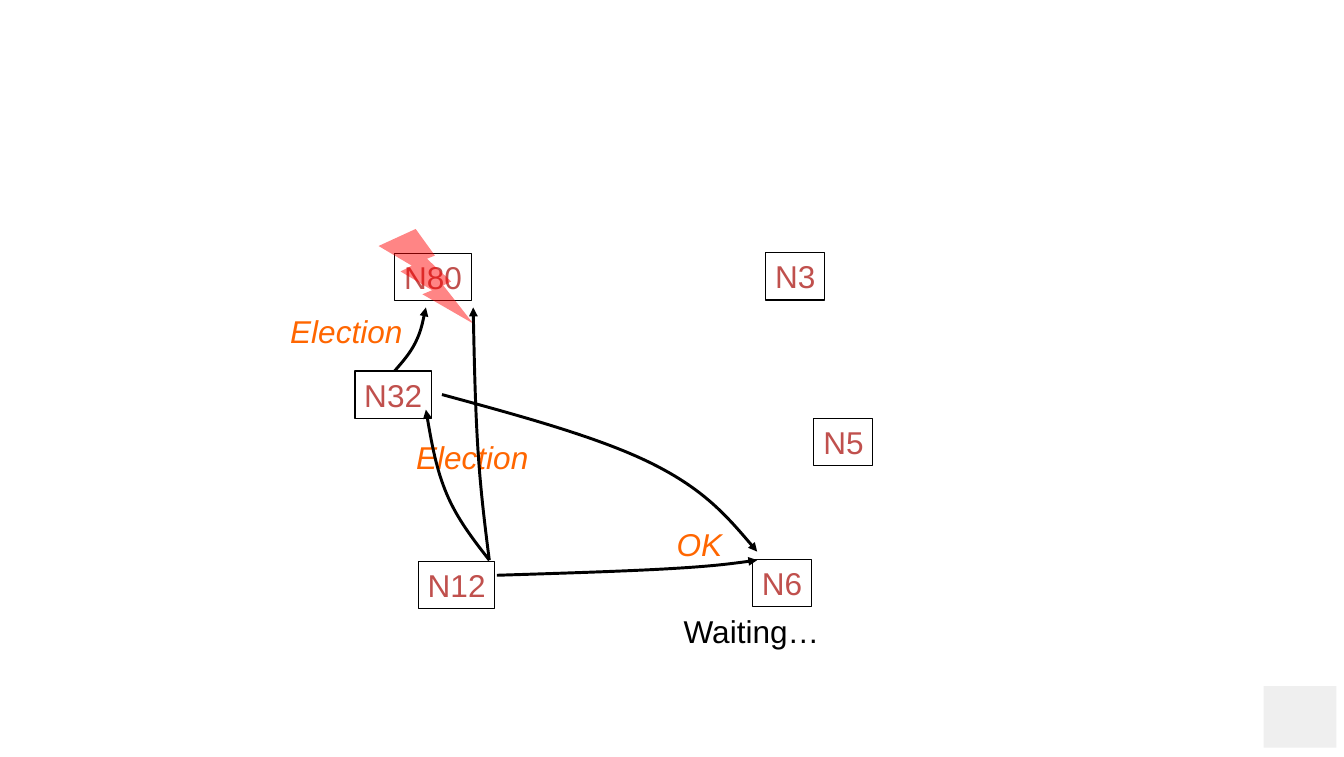
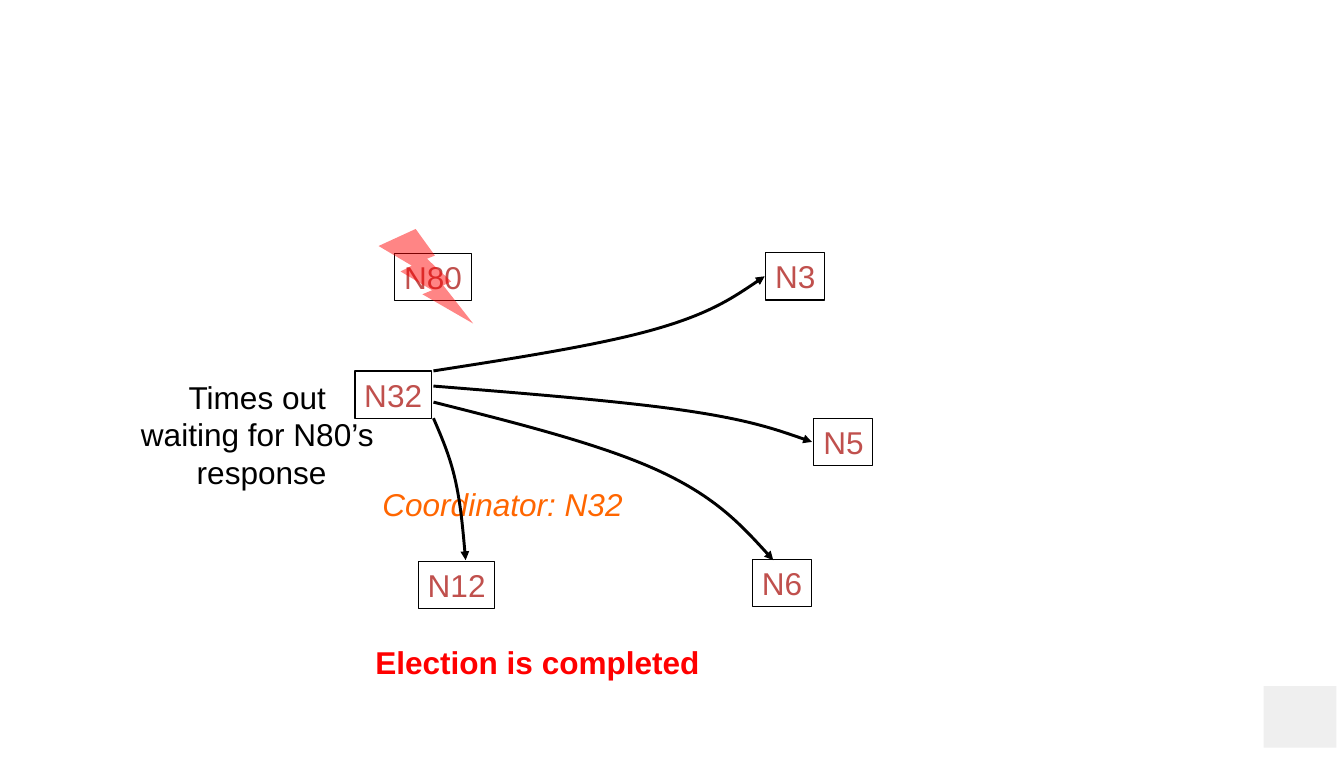
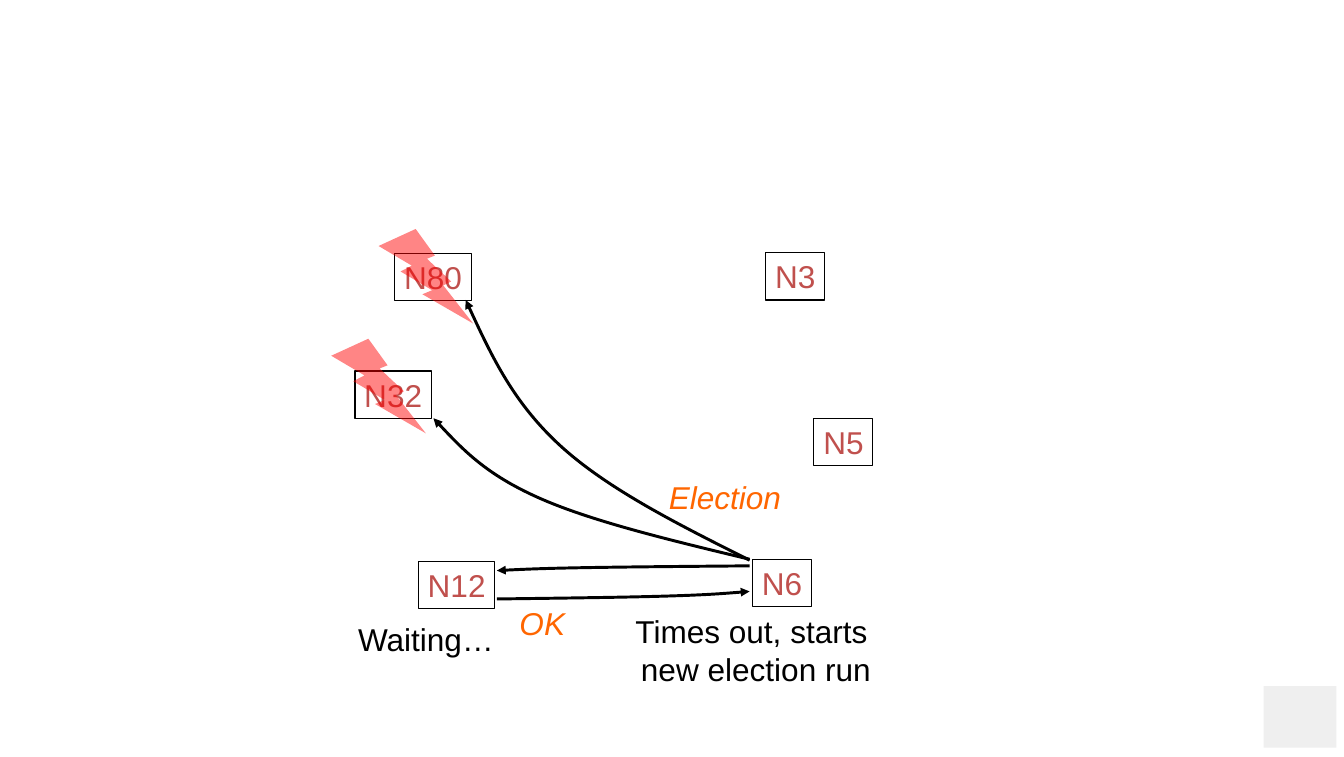
"""Builds three slides on the bully election algorithm with failing nodes."""
from typing import NamedTuple

from lxml import etree
from pptx import Presentation
from pptx import util as u
from pptx.dml.color import RGBColor
from pptx.enum import shapes, text
from pptx.oxml.ns import qn

BLACK = RGBColor(0x00, 0x00, 0x00)
BRICK = RGBColor(0xC0, 0x50, 0x4D)
ORANGE = RGBColor(0xFF, 0x66, 0x00)
RED = RGBColor(0xFF, 0x00, 0x00)
PALE_GREY = RGBColor(0xEF, 0xEF, 0xEF)

FONT = {"name": "Arial", "size": u.Pt(24)}
FRAME = {
    "margin_left": u.Inches(0.1),
    "margin_right": u.Inches(0.08),
    "margin_top": u.Inches(0.05),
    "margin_bottom": u.Inches(0.05),
    "vertical_anchor": text.MSO_ANCHOR.TOP,
    "word_wrap": False,
    "auto_size": text.MSO_AUTO_SIZE.SHAPE_TO_FIT_TEXT,
}
LINE_HEIGHT = 0.4
BOLT_SIZE = 1
BOLT_OPACITY = 48


class Point(NamedTuple):
    """A place on the page in inches."""
    x: float
    y: float


class Node(NamedTuple):
    """A process in the ring of candidates."""
    name: str
    left: float
    top: float
    border: float


class Style(NamedTuple):
    """The look of a caption."""
    color: RGBColor
    italic: bool = False
    bold: bool = False


class Caption(NamedTuple):
    """A centred text beside the diagram."""
    words: str
    left: float
    top: float
    width: float
    style: Style


class Arrow(NamedTuple):
    """A curved message arrow through a middle point."""
    start: Point
    middle: Point
    end: Point


class Scene(NamedTuple):
    """What one slide adds to the shared nodes."""
    bolts: list[Point]
    captions: list[Caption]
    arrows: list[Arrow]


MESSAGE = Style(ORANGE, italic=True)
STATE = Style(BLACK)
RESULT = Style(RED, bold=True)

NODES = [
    Node("N12", 4.42, 5.93, 0.75),
    Node("N5", 8.6, 4.42, 0.75),
    Node("N6", 7.95, 5.91, 0.75),
    Node("N80", 4.17, 2.68, 1),
    Node("N32", 3.75, 3.92, 1),
    Node("N3", 8.09, 2.67, 1),
]
NODE_WIDTHS = {2: 0.62, 3: 0.81}
N80_FAILS = Point(4, 2.42)
N32_FAILS = Point(3.5, 3.58)


def election(left: float, top: float) -> Caption:
    """Return an election message label."""
    return Caption("Election", left, top, 1.38, MESSAGE)


def ok(left: float, top: float) -> Caption:
    """Return an OK message label."""
    return Caption("OK", left, top, 0.68, MESSAGE)


def waiting(left: float, top: float) -> Caption:
    """Return a waiting state label."""
    return Caption("Waiting…", left, top, 1.64, STATE)


SCENES = [
    Scene(
        [N80_FAILS],
        [waiting(7.11, 6.42), election(4.29, 4.58), ok(7.04, 5.5), election(2.96, 3.25)],
        [
            Arrow(Point(5.17, 5.92), Point(4.72, 5.22), Point(4.5, 4.33)),
            Arrow(Point(5.17, 5.92), Point(5.05, 4.75), Point(5, 3.25)),
            Arrow(Point(5.25, 6.08), Point(7.08, 6.01), Point(8, 5.92)),
            Arrow(Point(4.17, 3.92), Point(4.39, 3.62), Point(4.5, 3.25)),
            Arrow(Point(4.67, 4.17), Point(6.89, 4.9), Point(8, 5.83)),
        ],
    ),
    Scene(
        [N80_FAILS],
        [
            Caption("Coordinator: N32", 3.93, 5.08, 2.74, MESSAGE),
            Caption("Times out \nwaiting for N80’s \nresponse", 1.38, 3.94, 2.75, STATE),
            Caption("Election is completed", 3.86, 6.75, 3.62, RESULT),
        ],
        [
            Arrow(Point(4.58, 4.42), Point(4.81, 5.07), Point(4.92, 5.92)),
            Arrow(Point(4.58, 4.25), Point(6.97, 4.98), Point(8.17, 5.92)),
            Arrow(Point(4.58, 4.08), Point(7.25, 4.34), Point(8.58, 4.67)),
            Arrow(Point(4.58, 3.92), Point(6.92, 3.48), Point(8.08, 2.92)),
        ],
    ),
    Scene(
        [N80_FAILS, N32_FAILS],
        [
            Caption("Times out, starts\n new election run", 6.57, 6.42, 2.72, STATE),
            waiting(3.67, 6.5),
            election(6.96, 5),
            ok(5.38, 6.33),
        ],
        [
            Arrow(Point(7.92, 5.92), Point(5.92, 4.71), Point(4.92, 3.17)),
            Arrow(Point(7.92, 5.91), Point(5.69, 5.26), Point(4.58, 4.42)),
            Arrow(Point(7.92, 5.98), Point(6.14, 6), Point(5.25, 6.03)),
            Arrow(Point(5.25, 6.33), Point(7.03, 6.3), Point(7.92, 6.25)),
        ],
    ),
]


def write(box, words: str, style: Style, align: text.PP_ALIGN) -> None:
    """Fill a shape with text in one style."""
    frame = box.text_frame
    for name, value in FRAME.items():
        setattr(frame, name, value)
    frame.text = words
    for para in frame.paragraphs:
        para.alignment = align
        for span in para.runs:
            look = {**FONT, "italic": style.italic, "bold": style.bold}
            for name, value in look.items():
                setattr(span.font, name, value)
            span.font.color.rgb = style.color


def add_block(page, kind, left: float, top: float, width: float, height: float,
              fill: RGBColor | None = None):
    """Add a preset shape without shadow or border."""
    box = page.shapes.add_shape(kind, *map(u.Inches, (left, top, width, height)))
    box.shadow.inherit = False
    box.line.fill.background()
    if fill is None:
        box.fill.background()
    else:
        box.fill.solid()
        box.fill.fore_color.rgb = fill
    return box


def outline(box, width: float) -> None:
    """Give a shape a black line."""
    box.line.color.rgb = BLACK
    box.line.width = u.Pt(width)


def add_node(page, node: Node) -> None:
    """Draw a named process box."""
    box = add_block(page, shapes.MSO_SHAPE.RECTANGLE, node.left, node.top,
                    NODE_WIDTHS[len(node.name)], 0.5)
    outline(box, node.border)
    write(box, node.name, Style(BRICK), text.PP_ALIGN.LEFT)


def add_bolt(page, corner: Point) -> None:
    """Draw a translucent failure bolt."""
    bolt = add_block(page, shapes.MSO_SHAPE.LIGHTNING_BOLT, corner.x, corner.y,
                     BOLT_SIZE, BOLT_SIZE, RED)
    color = bolt.element.find(".//" + qn("a:srgbClr"))
    etree.SubElement(color, qn("a:alpha"), val=str(BOLT_OPACITY * 1000))


def add_caption(page, caption: Caption) -> None:
    """Draw a centred caption."""
    height = 0.1 + LINE_HEIGHT * len(caption.words.splitlines())
    box = page.shapes.add_textbox(
        *map(u.Inches, (caption.left, caption.top, caption.width, height)))
    write(box, caption.words, caption.style, text.PP_ALIGN.CENTER)


def between(first: Point, second: Point) -> Point:
    """Return the point halfway between two points."""
    return Point((first.x + second.x) / 2, (first.y + second.y) / 2)


def curve_points(arrow: Arrow) -> list[Point]:
    """Return the points of two joined Bezier curves after the start."""
    start, middle, end = arrow
    reach = Point((end.x - start.x) / 6, (end.y - start.y) / 6)
    before = Point(middle.x - reach.x, middle.y - reach.y)
    after = Point(middle.x + reach.x, middle.y + reach.y)
    return [between(start, before), before, middle, after, between(after, end), end]


def add_arrow(page, arrow: Arrow) -> None:
    """Draw a smooth arrow by turning each three segments into a curve."""
    builder = page.shapes.build_freeform(u.Inches(arrow.start.x), u.Inches(arrow.start.y))
    builder.add_line_segments(
        [(u.Inches(point.x), u.Inches(point.y)) for point in curve_points(arrow)], close=False)
    curve = builder.convert_to_shape()
    curve.shadow.inherit = False
    curve.fill.background()
    outline(curve, 2.25)
    track = curve.element.find(".//" + qn("a:path"))
    segments = track.findall(qn("a:lnTo"))
    for first in range(0, len(segments), 3):
        bezier = etree.SubElement(track, qn("a:cubicBezTo"))
        for segment in segments[first:first + 3]:
            bezier.append(segment[0])
            track.remove(segment)
    etree.SubElement(curve.element.find(".//" + qn("a:ln")), qn("a:tailEnd"), type="triangle")


def add_scene(deck, scene: Scene) -> None:
    """Add a slide with the shared nodes and its own events."""
    page = deck.slides.add_slide(deck.slide_layouts[6])
    for draw, items in (
        (add_node, NODES),
        (add_bolt, scene.bolts),
        (add_caption, scene.captions),
        (add_arrow, scene.arrows),
    ):
        for item in items:
            draw(page, item)


def add_corner_block(deck) -> None:
    """Put the grey corner block on the slide master."""
    block = add_block(deck.slides[0], shapes.MSO_SHAPE.RECTANGLE,
                      13.35, 7.25, 0.77, 0.65, PALE_GREY)
    deck.slide_master.shapes.element.append(block.element)


def main() -> None:
    """Build and save the deck."""
    deck = Presentation()
    deck.slide_width = u.Inches(14.2)
    deck.slide_height = u.Inches(8)
    for scene in SCENES:
        add_scene(deck, scene)
    add_corner_block(deck)
    deck.save("out.pptx")


if __name__ == "__main__":
    main()
